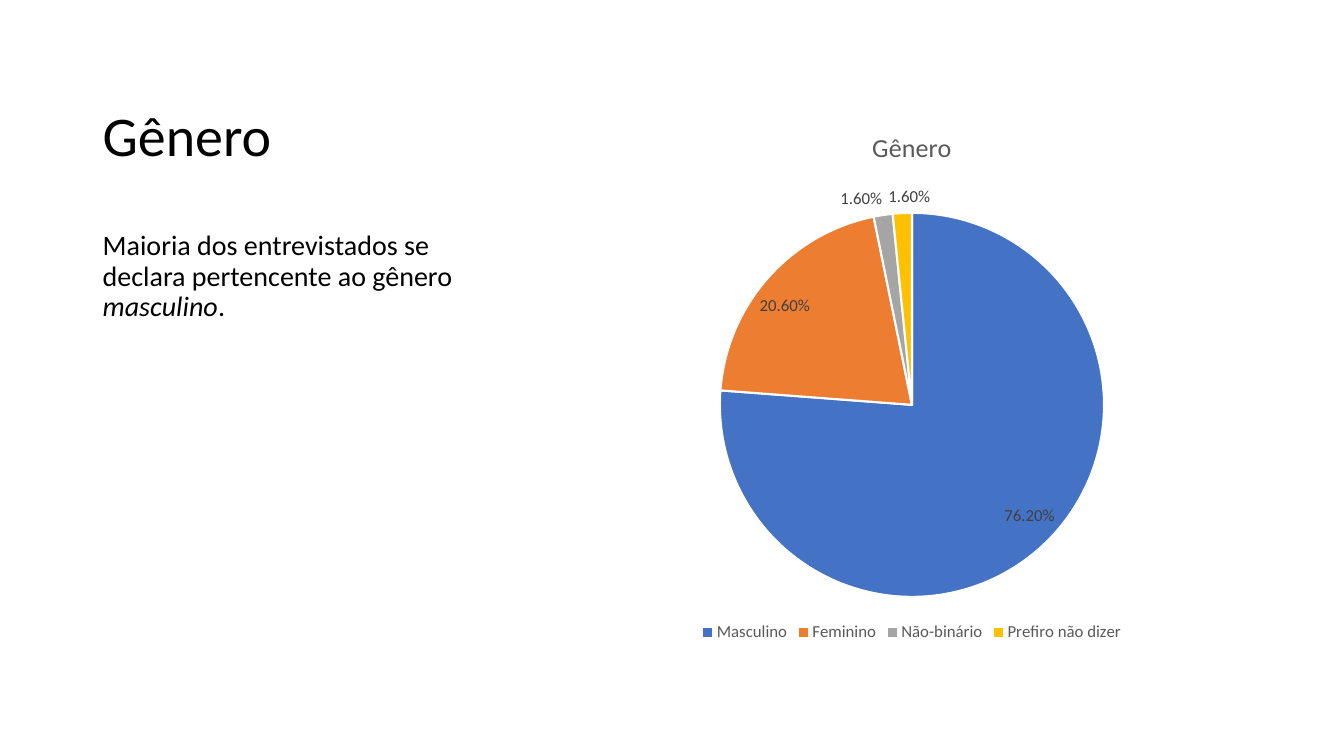
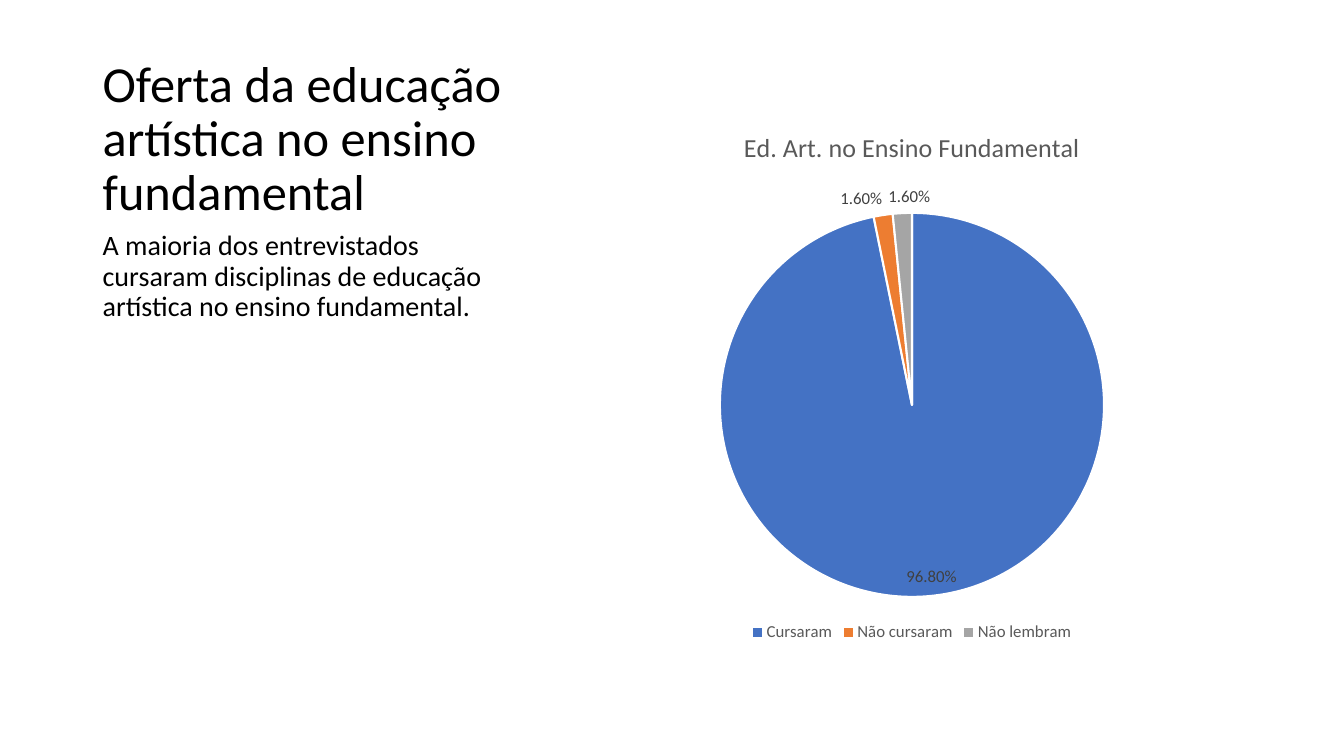
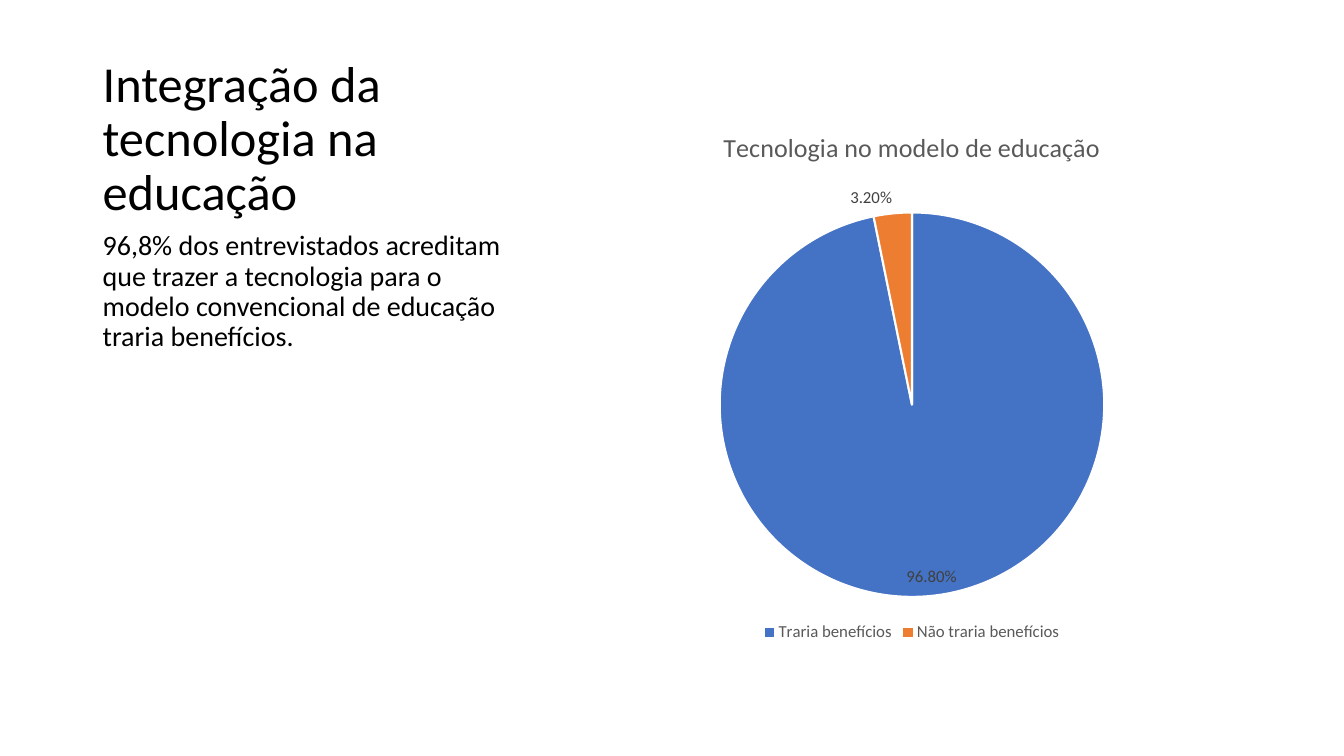
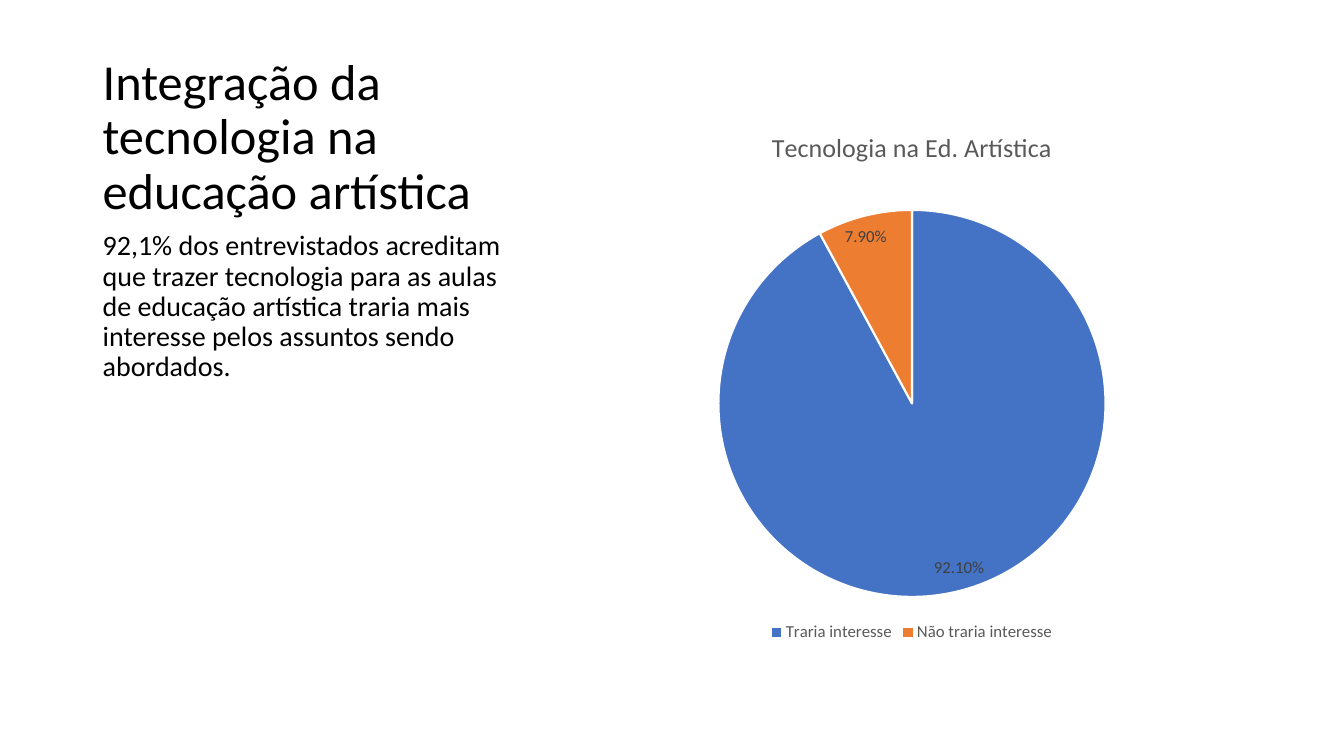
"""Build four survey slides, each with a heading, a finding and a pie chart."""
from dataclasses import dataclass

from pptx import Presentation
from pptx.chart.data import CategoryChartData
from pptx.dml.color import RGBColor
from pptx.enum.chart import XL_CHART_TYPE, XL_LABEL_POSITION, XL_LEGEND_POSITION
from pptx.enum.text import MSO_ANCHOR
from pptx.util import Inches, Pt

FONT = "Calibri"
COLORS = {"text": "000000", "muted": "595959", "label": "404040", "edge": "FFFFFF"}
SLICES = ("4472C4", "ED7D31", "A5A5A5", "FFC000")


@dataclass(frozen=True)
class Box:
    """Position and size in inches."""
    left: float
    top: float
    width: float
    height: float

    def emu(self) -> tuple:
        """Return the box as slide lengths."""
        return tuple(Inches(n) for n in (self.left, self.top, self.width, self.height))


@dataclass(frozen=True)
class Run:
    """A piece of text."""
    text: str
    italic: bool = False


@dataclass(frozen=True)
class Survey:
    """One question with its finding and its answers."""
    title: str
    finding: tuple[Run, ...]
    chart: str
    answers: dict[str, float]
    size: int = 36
    anchor: MSO_ANCHOR = MSO_ANCHOR.BOTTOM


TITLE = Box(0.92, 0.5, 4.3, 1.75)
BODY = Box(0.92, 2.25, 4.3, 4.17)
CHART = Box(5.67, 1.08, 6.75, 5.33)

SURVEYS = (
    Survey(
        "Gênero",
        (Run("Maioria dos entrevistados se declara pertencente ao gênero "),
         Run("masculino", True), Run(".")),
        "Gênero",
        {"Masculino": 0.762, "Feminino": 0.206, "Não-binário": 0.016,
         "Prefiro não dizer": 0.016},
        40, MSO_ANCHOR.MIDDLE),
    Survey(
        "Oferta da educação artística no ensino fundamental",
        (Run("A maioria dos entrevistados cursaram disciplinas de educação "
             "artística no ensino fundamental."),),
        "Ed. Art. no Ensino Fundamental",
        {"Cursaram": 0.968, "Não cursaram": 0.016, "Não lembram": 0.016}),
    Survey(
        "Integração da tecnologia na educação",
        (Run("96,8% dos entrevistados acreditam que trazer a tecnologia para o "
             "modelo convencional de educação traria benefícios."),),
        "Tecnologia no modelo de educação",
        {"Traria benefícios": 0.968, "Não traria benefícios": 0.032}),
    Survey(
        "Integração da tecnologia na educação artística",
        (Run("92,1% dos entrevistados acreditam que trazer tecnologia para as aulas "
             "de educação artística traria mais interesse pelos assuntos sendo "
             "abordados."),),
        "Tecnologia na Ed. Artística",
        {"Traria interesse": 0.921, "Não traria interesse": 0.079},
        anchor=MSO_ANCHOR.MIDDLE),
)


def rgb(value: str) -> RGBColor:
    """Turn a hex string into a colour."""
    return RGBColor.from_string(value)


def set_font(font, size: float, color: str) -> None:
    """Apply the shared typeface with a size and a named colour."""
    font.name, font.size, font.bold = FONT, Pt(size), False
    font.color.rgb = rgb(COLORS[color])


def add_text(s, box: Box, runs: tuple[Run, ...], size: int, anchor: MSO_ANCHOR) -> None:
    """Add a wrapped one-paragraph text box."""
    tf = s.shapes.add_textbox(*box.emu()).text_frame
    tf.word_wrap = True
    tf.vertical_anchor = anchor
    p = tf.paragraphs[0]
    p.line_spacing = 0.9
    set_font(p.font, size, "text")
    for run in runs:
        r = p.add_run()
        r.text = run.text
        if run.italic:
            r.font.italic = True


def add_pie(s, box: Box, name: str, answers: dict[str, float]) -> None:
    """Add a pie chart with a title, value labels and a legend below."""
    data = CategoryChartData(number_format="0.00%")
    data.categories = list(answers)
    data.add_series(name, list(answers.values()))
    chart = s.shapes.add_chart(XL_CHART_TYPE.PIE, *box.emu(), data).chart
    set_font(chart.font, 10, "text")

    chart.has_title = True
    p = chart.chart_title.text_frame.paragraphs[0]
    p.add_run().text = name
    set_font(p.font, 18.6, "muted")
    chart.chart_title.include_in_layout = False

    chart.has_legend = True
    chart.legend.position = XL_LEGEND_POSITION.BOTTOM
    chart.legend.include_in_layout = False
    set_font(chart.legend.font, 12, "muted")

    plot = chart.plots[0]
    plot.vary_by_categories = True
    for i, color in enumerate(SLICES[:len(answers)]):
        fmt = plot.series[0].points[i].format
        fmt.fill.solid()
        fmt.fill.fore_color.rgb = rgb(color)
        fmt.line.color.rgb = rgb(COLORS["edge"])
        fmt.line.width = Pt(1.5)

    labels = plot.series[0].data_labels
    labels.show_value = True
    labels.number_format = "0.00%"
    labels.number_format_is_linked = False
    labels.position = XL_LABEL_POSITION.BEST_FIT
    set_font(labels.font, 12, "label")


def main() -> None:
    """Build and save the presentation."""
    prs = Presentation()
    prs.slide_width, prs.slide_height = Inches(13.33), Inches(7.5)
    for survey in SURVEYS:
        s = prs.slides.add_slide(prs.slide_layouts[6])
        add_text(s, TITLE, (Run(survey.title),), survey.size, survey.anchor)
        add_pie(s, CHART, survey.chart, survey.answers)
        add_text(s, BODY, survey.finding, 20, MSO_ANCHOR.TOP)
    prs.save("out.pptx")


if __name__ == "__main__":
    main()
